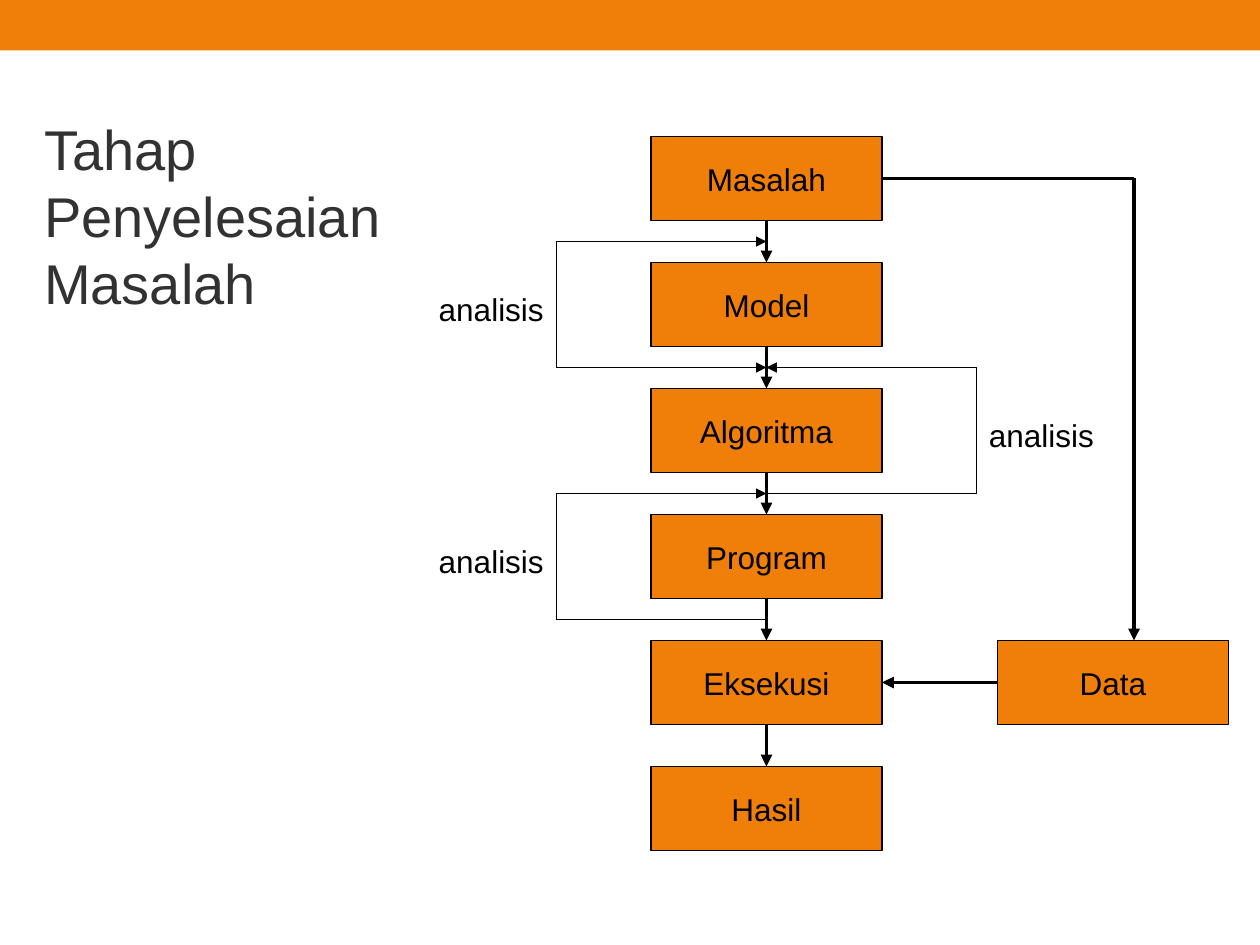
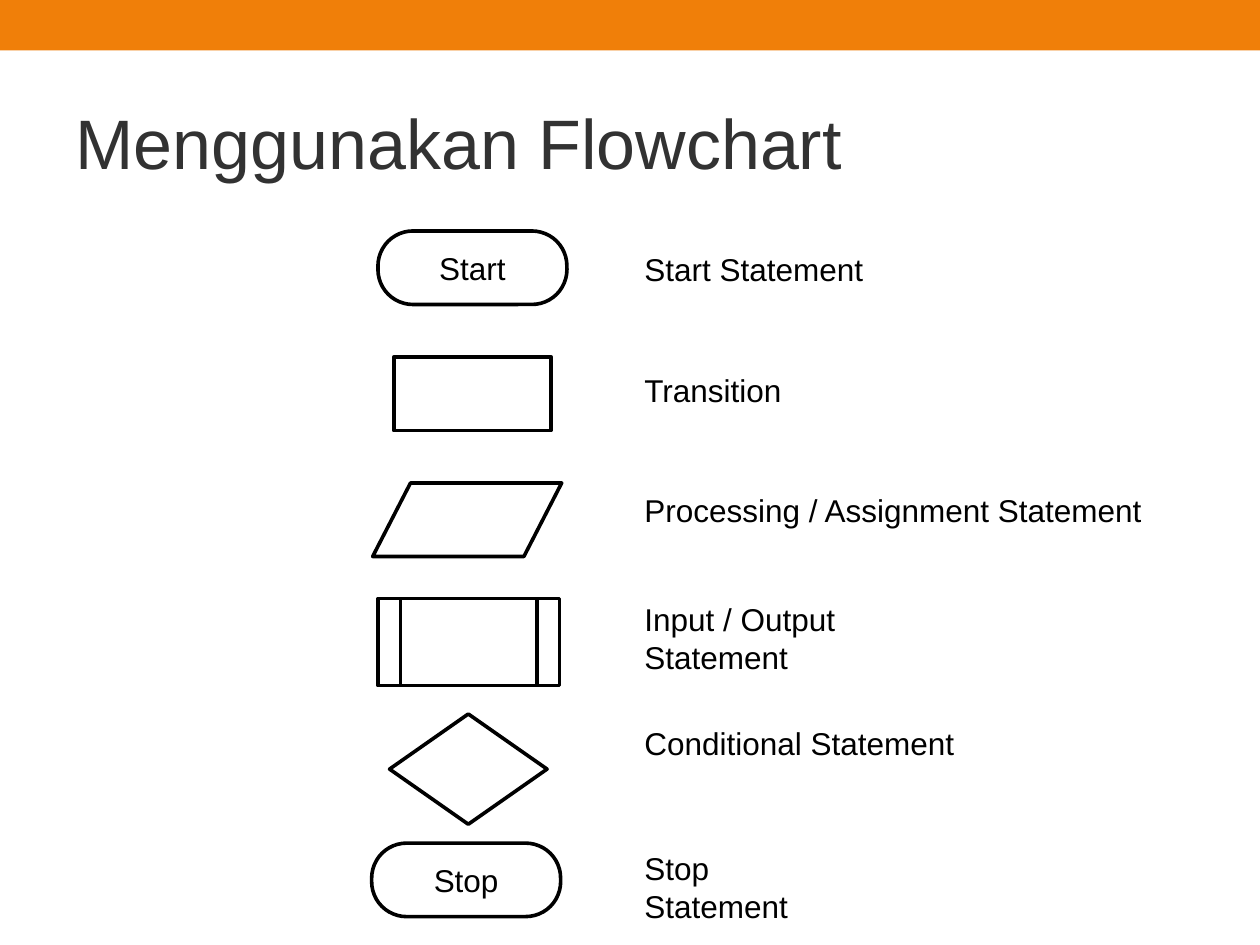
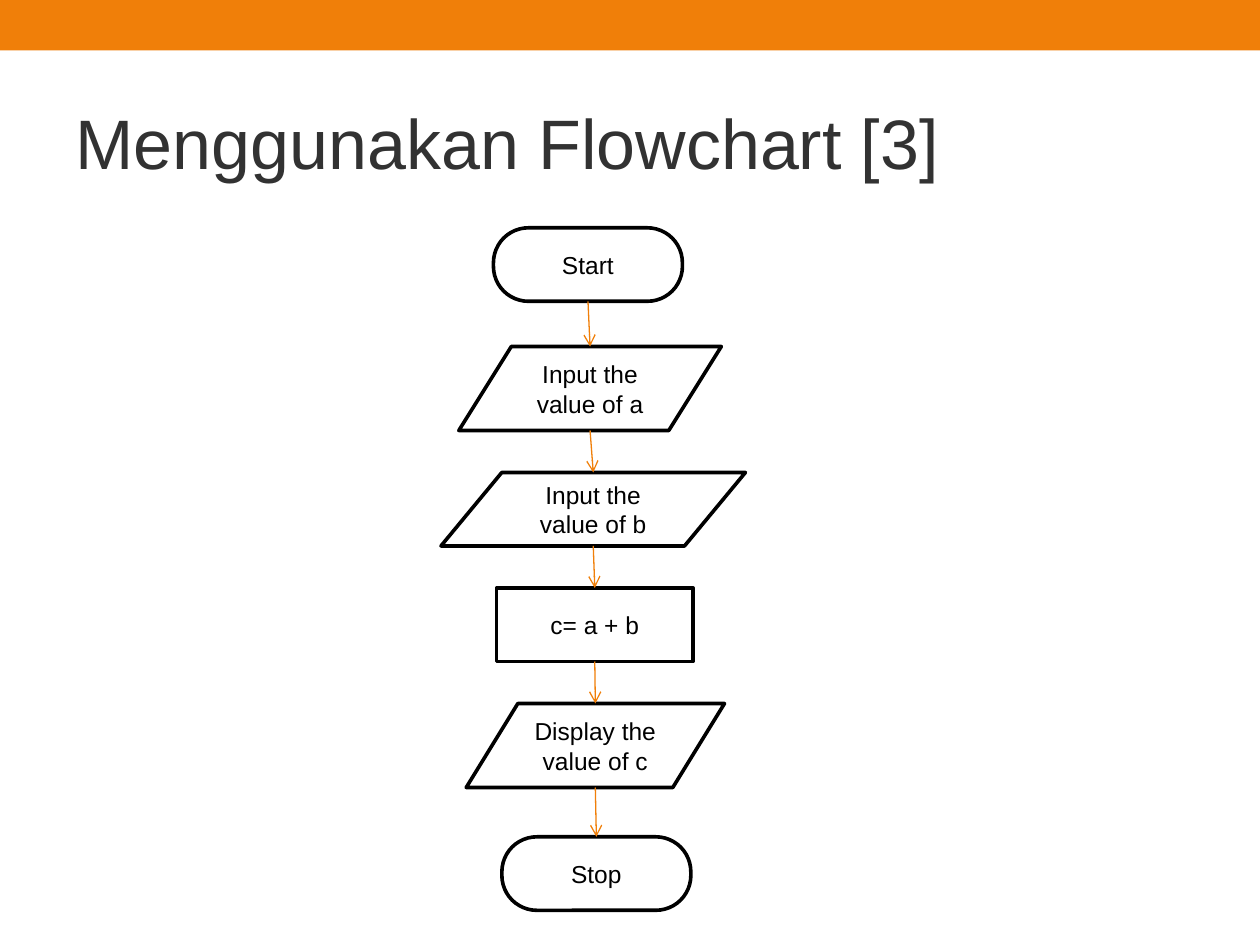
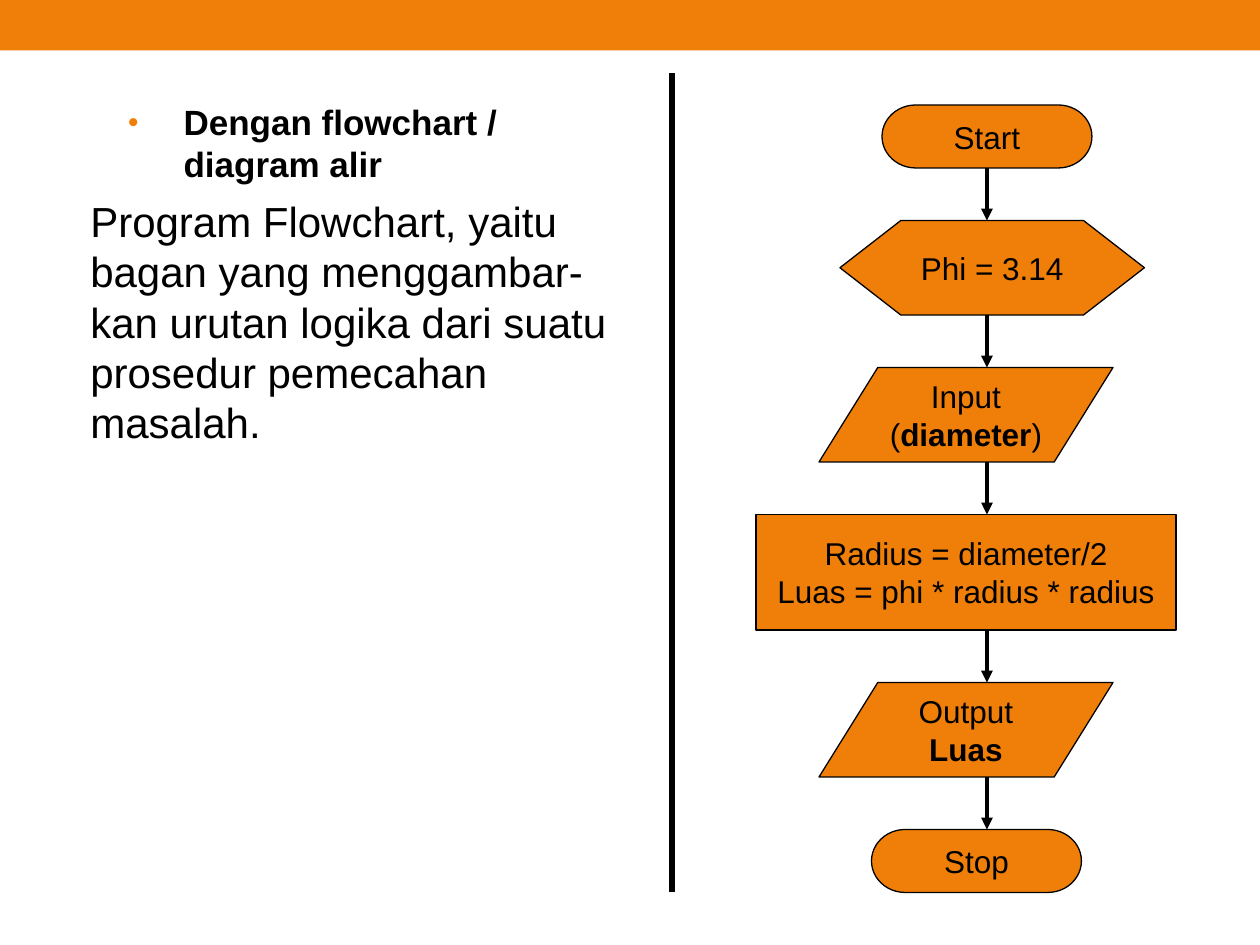
from collections import namedtuple
from itertools import pairwise

from lxml.etree import SubElement
from pptx import Presentation
from pptx.dml.color import RGBColor
from pptx.enum.shapes import MSO_CONNECTOR, MSO_SHAPE as KIND
from pptx.enum.text import MSO_ANCHOR, MSO_AUTO_SIZE, PP_ALIGN
from pptx.oxml.ns import qn
from pptx.util import Inches, Pt

ORANGE = RGBColor(0xF0, 0x7F, 0x09)
WHITE = RGBColor(0xFF, 0xFF, 0xFF)
BLACK = RGBColor(0, 0, 0)
GREY = RGBColor(0x32, 0x32, 0x32)

FONT = "Arial"
CELL = Inches(1) / 12  # the slide is a grid of 120 columns and 90 rows
COLS, ROWS = 120, 90
LABEL = 4.8

SOLID = {"fill": ORANGE, "width": 0.75, "wrap": False}
PLAIN = {"fill": WHITE, "width": 2.07, "wrap": True}
THICK = {"color": BLACK, "width": 2.25}
THIN = {"color": BLACK, "width": 0.75}
LINK = {"color": ORANGE, "width": 0.75, "tip": "arrow"}


class Box(namedtuple("Box", "col row wide high")):
    """A region in grid cells."""

    def inner(self, col, row, wide, high):
        return Box(self.col + col, self.row + row, wide, high)

    def place(self):
        return [round(n * CELL) for n in self]

    @property
    def mid(self):
        return self.col + self.wide / 2

    @property
    def base(self):
        return self.row + self.high


PAGE = Box(0, 0, COLS, ROWS)
HEAD = Box(6, 7, 108, 13)


def apply(thing, values):
    for name, value in values.items():
        setattr(thing, name, value)


def write(para, text, size, color=BLACK):
    """Add runs to a paragraph; pieces between underscores are bold."""
    for turn, piece in enumerate(text.split("_")):
        if piece:
            run = para.add_run()
            run.text = piece
            apply(run.font, {"name": FONT, "size": Pt(size), "bold": turn % 2 == 1})
            run.font.color.rgb = color


def shape(slide, kind, box, text, size, style):
    item = slide.shapes.add_shape(kind, *box.place())
    item.shadow.inherit = False
    item.fill.solid()
    item.fill.fore_color.rgb = style["fill"]
    item.line.color.rgb = BLACK
    item.line.width = Pt(style["width"])
    if kind == KIND.ROUNDED_RECTANGLE:
        item.adjustments[0] = 0.476
    frame = item.text_frame
    apply(frame, {"word_wrap": style["wrap"], "vertical_anchor": MSO_ANCHOR.MIDDLE})
    for index, words in enumerate(text.split("\n")):
        para = frame.add_paragraph() if index else frame.paragraphs[0]
        para.alignment = PP_ALIGN.CENTER
        write(para, words, size)


def line(slide, start, end, color, width, tip=None):
    ends = [round(n * CELL) for n in (*start, *end)]
    item = slide.shapes.add_connector(MSO_CONNECTOR.STRAIGHT, *ends)
    item.line.color.rgb = color
    item.line.width = Pt(width)
    if tip:
        SubElement(item.get_or_add_ln(), qn("a:tailEnd"), type=tip)
    SubElement(item.element.spPr, qn("a:effectLst"))


def label(slide, box, text):
    frame = slide.shapes.add_textbox(*box.place()).text_frame
    apply(frame, {"word_wrap": False, "auto_size": MSO_AUTO_SIZE.SHAPE_TO_FIT_TEXT})
    write(frame.paragraphs[0], text, 18)


def settle(holder, box):
    """Move a placeholder to a box."""
    apply(holder, dict(zip(("left", "top", "width", "height"), box.place())))
    holder.text_frame.auto_size = MSO_AUTO_SIZE.NONE


def title(slide, box, text, size):
    holder = slide.shapes.title
    settle(holder, box)
    holder.text_frame.vertical_anchor = MSO_ANCHOR.MIDDLE
    para = holder.text_frame.paragraphs[0]
    para.alignment = PP_ALIGN.LEFT
    write(para, text, size, GREY)


def band(deck, slide):
    """Put the shared top band on the master."""
    strip = slide.shapes.add_shape(KIND.RECTANGLE, *PAGE.inner(0, 0, COLS, 4.8).place())
    strip.shadow.inherit = False
    strip.fill.solid()
    strip.fill.fore_color.rgb = ORANGE
    strip.line.fill.background()
    strip.element.nvSpPr.cNvPr.set("id", "50")
    deck.slide_master.shapes.element.insert(2, strip.element)


def loop(slide, box, side, tips, text):
    """Draw a feedback bracket whose open end meets the stem of the flow."""
    left, right = box.col, box.col + box.wide
    stem, edge = (right, left) if side == "left" else (left, right)
    for row, tip in zip((box.row, box.base), tips):
        line(slide, (edge, row), (stem, row), tip=tip, **THIN)
    line(slide, (edge, box.row), (edge, box.base), **THIN)
    wide = 12.4
    col = -wide if side == "left" else box.wide
    label(slide, box.inner(col, 4, wide, LABEL), text)


def stages(slide, box):
    steps = ("Masalah", "Model", "Algoritma", "Program", "Eksekusi", "Hasil")
    gap, wide, high = 12, 22, 8
    spots = [box.inner(0, gap * i, wide, high) for i in range(len(steps))]
    for spot, text in zip(spots, steps):
        shape(slide, KIND.RECTANGLE, spot, text, 18, SOLID)
    run = spots[4]
    data = run.inner(33, 0, wide, high)
    shape(slide, KIND.RECTANGLE, data, "Data", 18, SOLID)

    side = box.col + wide
    start, turn = box.row + high / 2, side + 24
    line(slide, (side, start), (turn, start), **THICK)
    line(slide, (turn, start), (turn, data.row), tip="triangle", **THICK)
    level = run.row + high / 2
    line(slide, (data.col, level), (side, level), tip="triangle", **THICK)
    for one, two in pairwise(spots):
        line(slide, (one.mid, one.base), (two.mid, two.row), tip="triangle", **THICK)

    reach = 20
    loops = (("right", 1, ("triangle", None)),
             ("left", 2, ("triangle", None)),
             ("left", 0, ("triangle", "triangle")))
    for way, step, tips in loops:
        col = wide / 2 - (reach if way == "left" else 0)
        loop(slide, spots[step].inner(col, high + 2, reach, gap), way, tips, "analisis")


def legend(slide, box):
    """Draw each flowchart symbol with its meaning beside it."""
    signs = (
        (KIND.ROUNDED_RECTANGLE, (0.6, 0, 18, 7), "Start"),
        (KIND.RECTANGLE, (2.1, 12, 15, 7), ""),
        (KIND.FLOWCHART_DATA, (0.1, 24, 18, 7), ""),
        (KIND.FLOWCHART_PREDEFINED_PROCESS, (0.6, 35, 17.3, 8.3), ""),
        (KIND.FLOWCHART_DECISION, (1.7, 46, 15, 10.5), ""),
        (KIND.ROUNDED_RECTANGLE, (0, 58.3, 18, 7), "Stop"),
    )
    for kind, spot, text in signs:
        shape(slide, kind, box.inner(*spot), text, 18, PLAIN)
    names = (
        (1.2, 23.2, "Start Statement"),
        (12.7, 15.6, "Transition"),
        (24.2, 49.9, "Processing / Assignment Statement"),
        (34.6, 35, "Input / Output Statement"),
        (46.4, 31.9, "Conditional Statement"),
        (58.3, 23, "Stop Statement"),
    )
    for row, wide, text in names:
        label(slide, box.inner(24.8, row, wide, LABEL), text)


def chain(slide, box, steps, size, style, link, stem=None):
    """Stack steps and join them, along a fixed stem or from centre to centre."""
    spots = [box.inner(*spot) for _, spot, _ in steps]
    for spot, (kind, _, text) in zip(spots, steps):
        shape(slide, kind, spot, text, size, style)
    for one, two in pairwise(spots):
        top, end = (one.mid, two.mid) if stem is None else [box.col + stem] * 2
        line(slide, (top, one.base), (end, two.row), **link)


def total(slide, box):
    steps = (
        (KIND.ROUNDED_RECTANGLE, (5, 0, 18, 7), "Start"),
        (KIND.FLOWCHART_DATA, (1.7, 11.3, 25, 8), "Input the value of a"),
        (KIND.FLOWCHART_DATA, (0, 23.3, 29, 7), "Input the value of b"),
        (KIND.RECTANGLE, (5.3, 34.3, 18.7, 7), "c= a + b"),
        (KIND.FLOWCHART_DATA, (2.4, 45.3, 24.6, 8), "Display the value of c"),
        (KIND.ROUNDED_RECTANGLE, (5.8, 58, 18, 7), "Stop"),
    )
    chain(slide, box, steps, 14, PLAIN, LINK)


def circle(slide, box):
    steps = (
        (KIND.FLOWCHART_TERMINATOR, (12, 0, 20, 6), "Start"),
        (KIND.FLOWCHART_PREPARATION, (8, 11, 29, 9), "Phi = 3.14"),
        (KIND.FLOWCHART_DATA, (6, 25, 28, 9), "Input\n(_diameter_)"),
        (KIND.FLOWCHART_PROCESS, (0, 39, 40, 11),
         "Radius = diameter/2\nLuas = phi * radius * radius"),
        (KIND.FLOWCHART_DATA, (6, 55, 28, 9), "Output\n_Luas_"),
        (KIND.FLOWCHART_TERMINATOR, (11, 69, 20, 6), "Stop"),
    )
    chain(slide, box, steps, 18, SOLID, {**THICK, "tip": "triangle"}, stem=22)


def indent(para, margin, first, before):
    para.space_before = Pt(before)
    props = para._p.get_or_add_pPr()
    props.set("marL", str(Inches(margin)))
    props.set("indent", str(Inches(first)))
    return props


def notion(slide, box):
    """Fill the body with a bulleted heading and a paragraph."""
    holder = slide.placeholders[1]
    settle(holder, box)
    frame = holder.text_frame
    head = frame.paragraphs[0]
    head.level = 1
    write(head, "_Dengan flowchart / diagram alir_", 20)
    props = indent(head, 0.94, -0.44, 5)
    tint = SubElement(props, qn("a:buClr"))
    SubElement(tint, qn("a:srgbClr"), val=str(ORANGE))
    SubElement(props, qn("a:buSzPct"), val="85000")
    SubElement(props, qn("a:buFont"), typeface=FONT)
    SubElement(props, qn("a:buChar"), char="•")

    text = frame.add_paragraph()
    write(text, "Program Flowchart, yaitu bagan yang menggambar-kan urutan "
                "logika dari suatu prosedur pemecahan masalah.", 24)
    SubElement(indent(text, 0.2, 0, 6), qn("a:buNone"))


def main():
    deck = Presentation()
    apply(deck, {"slide_width": round(COLS * CELL), "slide_height": round(ROWS * CELL)})
    body, only = deck.slide_layouts[1], deck.slide_layouts[5]

    slide = deck.slides.add_slide(only)
    band(deck, slide)
    title(slide, Box(3, 9, 37, 23), "Tahap Penyelesaian Masalah", 32)
    stages(slide, Box(62, 13, 55, 68))

    pages = (("Menggunakan Flowchart", legend, Box(35.4, 22, 75, 65.3)),
             ("Menggunakan Flowchart [3]", total, Box(42, 21.7, 29, 65)))
    for text, draw, box in pages:
        slide = deck.slides.add_slide(only)
        title(slide, HEAD, text, 40)
        draw(slide, box)

    slide = deck.slides.add_slide(body)
    heading = slide.shapes.title.element
    heading.getparent().remove(heading)
    notion(slide, Box(5, 9, 57, 74))
    circle(slide, Box(72, 10, 40, 75))
    line(slide, (64, 7), (64, 85), BLACK, 3)

    deck.save("out.pptx")


if __name__ == "__main__":
    main()
